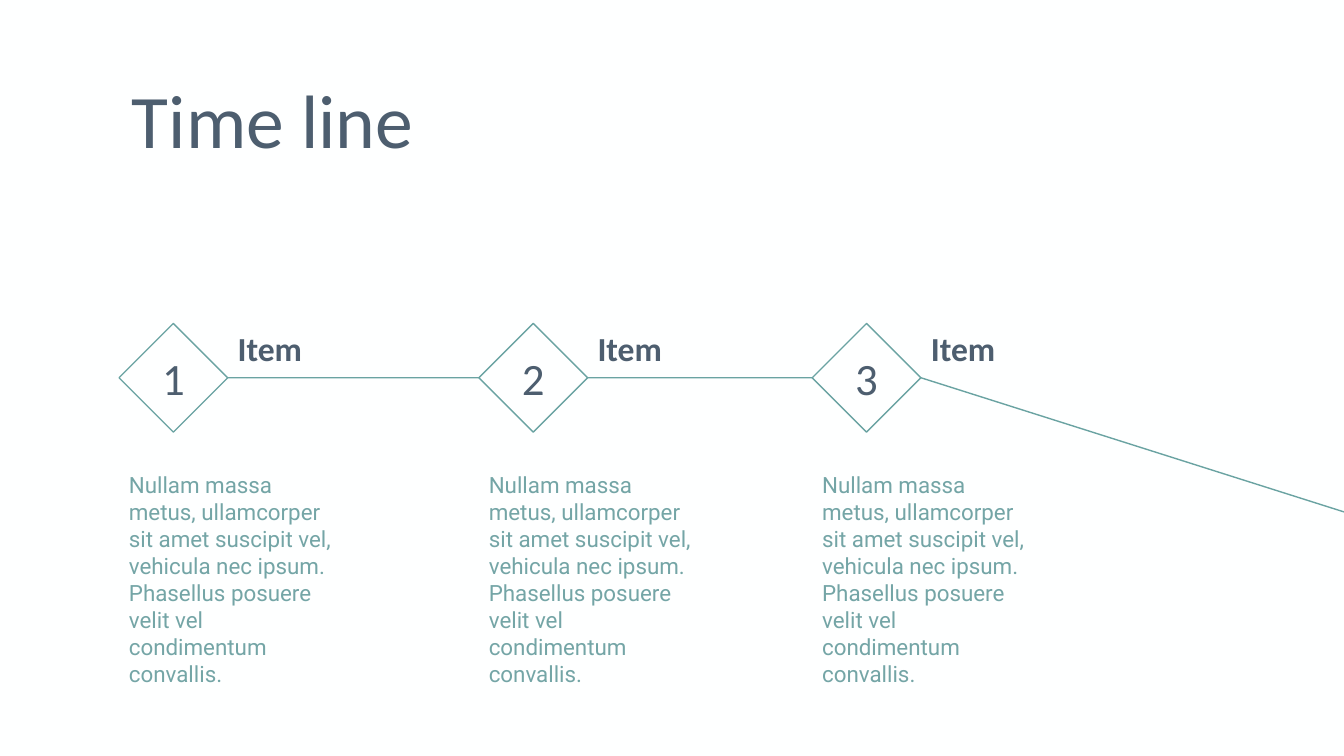
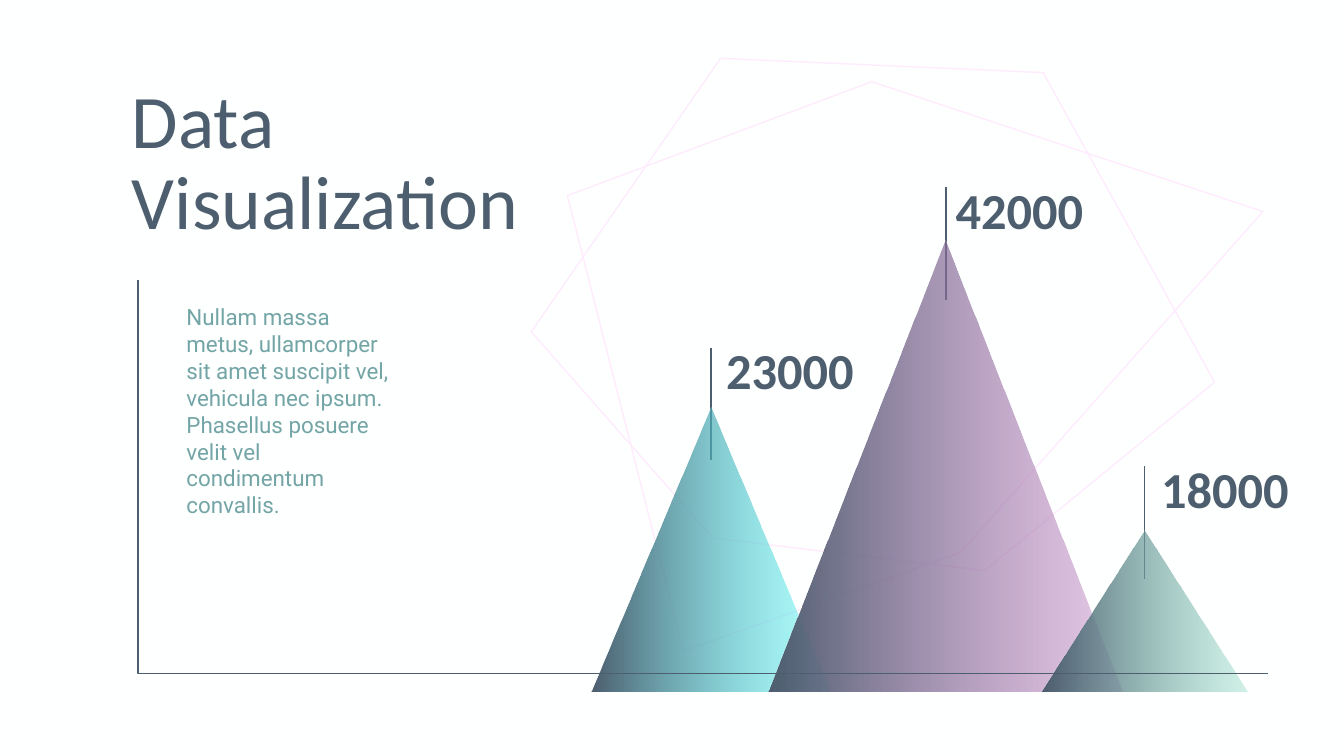
from lxml.etree import SubElement
from pptx import Presentation
from pptx.dml.color import RGBColor
from pptx.enum.shapes import MSO_CONNECTOR, MSO_SHAPE
from pptx.enum.text import MSO_ANCHOR, MSO_AUTO_SIZE, PP_ALIGN
from pptx.oxml.ns import qn
from pptx.util import Cm, Pt

COLORS = {
    "background": "FEFFFF",
    "dark": "4D5E6F",
    "teal": "74A5A6",
    "timeline": "6AA3A2",
    "pale_pink": "FEECFE",
    "aqua": "4CFFFF",
    "purple": "C27BC3",
    "mint": "8DDBC5",
}
HEADING_FONT = "Calibri"
BODY_FONT = "Roboto"
SLIDE_WIDTH, SLIDE_HEIGHT = 33.87, 19.05
DESCRIPTION = (
    "Nullam massa metus, ullamcorper sit amet suscipit vel, vehicula nec ipsum. "
    "Phasellus posuere velit vel condimentum convallis."
)


def color(name):
    return RGBColor.from_string(COLORS[name])


# Shared text and line helpers
def write(shape, text, size, color_name, font=HEADING_FONT, bold=False,
          align=PP_ALIGN.LEFT, spacing=1.0):
    shape.text_frame.text = text
    paragraph = shape.text_frame.paragraphs[0]
    paragraph.alignment = align
    paragraph.line_spacing = spacing
    paragraph.space_before = Pt(0)
    run_font = paragraph.runs[0].font
    run_font.name, run_font.size, run_font.bold = font, Pt(size), bold
    run_font.color.rgb = color(color_name)


def add_text(slide, left, top, width, height, text, size, color_name, **style):
    box = slide.shapes.add_textbox(Cm(left), Cm(top), Cm(width), Cm(height))
    box.text_frame.word_wrap = True
    write(box, text, size, color_name, **style)


def add_description(slide, left, top):
    add_text(slide, left, top, 5.61, 5.6, DESCRIPTION, 16, "teal", font=BODY_FONT)


def set_line(shape, color_name):
    shape.line.color.rgb = color(color_name)
    shape.line.width = Pt(1)


def add_outline(slide, left, top, points, color_name, close=False):
    """Draw an unfilled path through points given relative to left and top."""
    vertices = [(Cm(left + x), Cm(top + y)) for x, y in points]
    builder = slide.shapes.build_freeform(*vertices[0], scale=1.0)
    builder.add_line_segments(vertices[1:], close=close)
    outline = builder.convert_to_shape()
    outline.fill.background()
    outline.shadow.inherit = False
    set_line(outline, color_name)


# Shared background and title position
def prepare_template(presentation):
    fill = presentation.slide_master.background.fill
    fill.solid()
    fill.fore_color.rgb = color("background")
    layout = presentation.slide_layouts[5]
    title = layout.placeholders[0]
    title.left, title.top = Cm(3.07), Cm(1.96)
    title.width, title.height = Cm(12.04), Cm(4.42)
    title.text_frame.vertical_anchor = MSO_ANCHOR.TOP
    title.text_frame.auto_size = MSO_AUTO_SIZE.NONE
    return layout


def add_titled_slide(presentation, layout, text):
    slide = presentation.slides.add_slide(layout)
    write(slide.shapes.title, text, 54, "dark", spacing=0.9)
    return slide


# Timeline
def add_milestone(slide, left, top, size, number):
    diamond = slide.shapes.add_shape(
        MSO_SHAPE.DIAMOND, Cm(left), Cm(top), Cm(size), Cm(size))
    diamond.shadow.inherit = False
    diamond.fill.solid()
    diamond.fill.fore_color.rgb = color("background")
    set_line(diamond, "timeline")
    diamond.text_frame.vertical_anchor = MSO_ANCHOR.MIDDLE
    write(diamond, str(number), 32, "dark", align=PP_ALIGN.CENTER)
    add_text(slide, left + size, top, 5.61, 1.04, "Item", 24, "dark", bold=True)
    add_description(slide, left, top + 3.61)


def add_timeline(slide, left, top):
    size = 2.74
    offsets = [0, 9.07, 17.47]
    middle = size / 2
    track = [(0, middle), (offsets[-1] + size, middle),
             (SLIDE_WIDTH - left, middle + 3.38)]
    add_outline(slide, left, top, track, "timeline")
    for number, offset in enumerate(offsets, start=1):
        add_milestone(slide, left + offset, top, size, number)


# Decorative polygons
def add_polygons(slide, left, top):
    pentagon = [(18.44, 3.86), (10.82, 12.45), (3.83, 14.94), (0.91, 3.46),
                (8.58, 0.59)]
    hexagon = [(12.9, 0.36), (17.22, 8.16), (11.43, 12.91), (4.57, 12.09),
               (0, 6.89), (4.77, 0)]
    for points in (pentagon, hexagon):
        add_outline(slide, left, top, points, "pale_pink", close=True)


# Peaks with markers and values
def add_marker(slide, x, top):
    marker = slide.shapes.add_connector(
        MSO_CONNECTOR.STRAIGHT, Cm(x), Cm(top), Cm(x), Cm(top + 2.83))
    set_line(marker, "dark")
    SubElement(marker._element.spPr, qn("a:effectLst"))


def add_peak(slide, left, top, width, height, color_name):
    peak = slide.shapes.add_shape(
        MSO_SHAPE.ISOSCELES_TRIANGLE, Cm(left), Cm(top), Cm(width), Cm(height))
    peak.shadow.inherit = False
    peak.line.fill.background()
    peak.fill.gradient()
    peak.fill.gradient_angle = 0
    for stop, name, position in zip(peak.fill.gradient_stops,
                                    ("dark", color_name), (0, 1)):
        stop.color.rgb = color(name)
        stop.position = position
    # The far end of the gradient is see-through
    end_color = peak._element.spPr.findall(".//" + qn("a:srgbClr"))[-1]
    SubElement(end_color, qn("a:alpha"), val="40000")


def add_peaks(slide, left, baseline):
    # value, offset, width, height, marker rise, label shift, color
    peaks = [
        ("23000", 0, 6.02, 7.14, 1.52, -1.02, "aqua"),
        ("42000", 4.47, 8.92, 11.35, 1.35, -1.16, "purple"),
        ("18000", 11.35, 5.18, 4.04, 1.63, -0.99, "mint"),
    ]
    for _, offset, width, height, rise, _, _ in peaks:
        add_marker(slide, left + offset + width / 2, baseline - height - rise)
    for _, offset, width, height, _, _, color_name in peaks:
        add_peak(slide, left + offset, baseline - height, width, height, color_name)
    for value, offset, width, height, rise, shift, _ in peaks:
        add_text(slide, left + offset + width / 2 + shift,
                 baseline - height - rise - 0.17, 6.02, 1.37, value, 36, "dark",
                 bold=True, align=PP_ALIGN.CENTER, spacing=0.9)


# Axes with the description beside them
def add_axes(slide, left, top, width, height):
    add_description(slide, left + 0.97, top + 0.46)
    add_outline(slide, left, top, [(0, 0), (0, height), (width, height)], "dark")


def main():
    presentation = Presentation()
    presentation.slide_width = Cm(SLIDE_WIDTH)
    presentation.slide_height = Cm(SLIDE_HEIGHT)
    layout = prepare_template(presentation)

    timeline_slide = add_titled_slide(presentation, layout, "Time line")
    add_timeline(timeline_slide, 3, 8.15)

    data_slide = add_titled_slide(presentation, layout, "Data Visualization")
    add_polygons(data_slide, 13.39, 1.47)
    add_peaks(data_slide, 14.91, 17.42)
    add_axes(data_slide, 3.48, 7.06, 28.47, 9.91)

    presentation.save("out.pptx")


if __name__ == "__main__":
    main()
